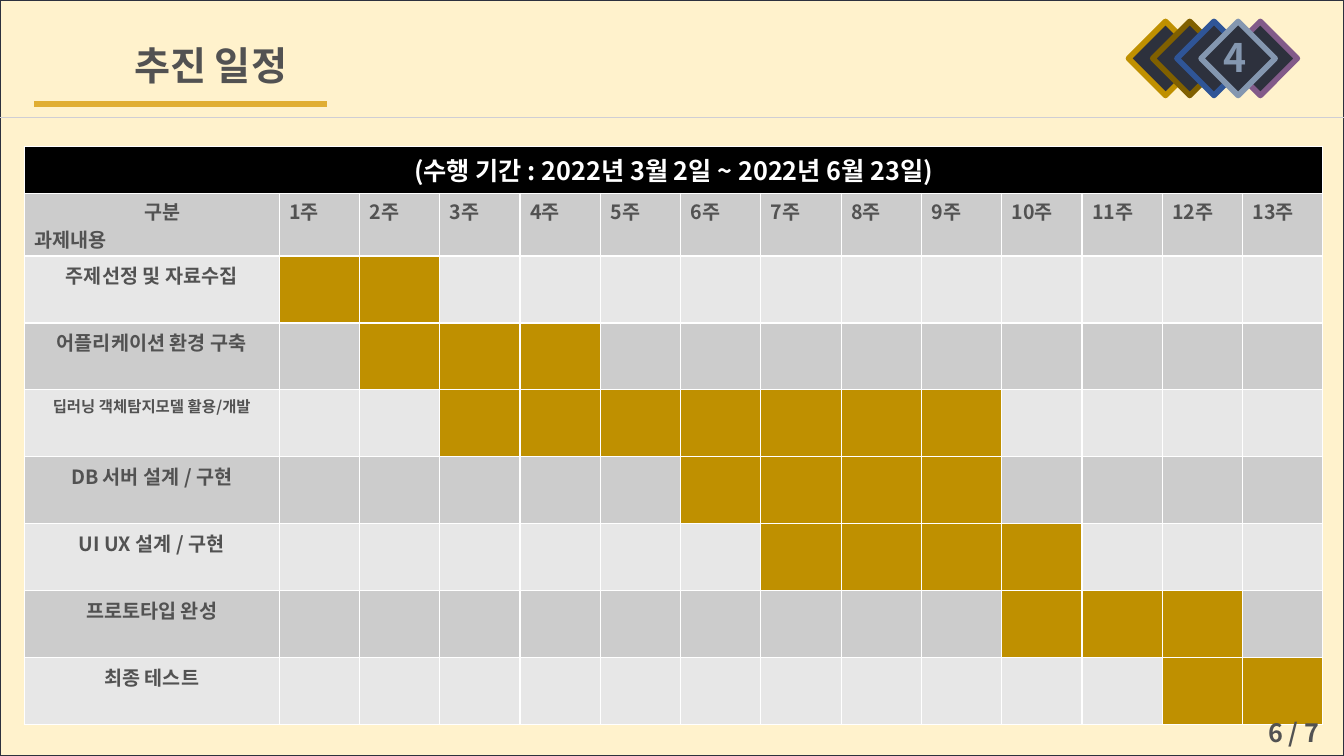
from dataclasses import dataclass
from typing import Any

from lxml.etree import SubElement as Sub
from pptx import Presentation
from pptx.dml.color import RGBColor as Rgb
from pptx.enum.shapes import MSO_CONNECTOR as Link, MSO_SHAPE as Form
from pptx.enum.text import MSO_ANCHOR as Anchor, MSO_AUTO_SIZE as Fit, PP_ALIGN as Align
from pptx.oxml.ns import qn
from pptx.util import Inches, Pt

FONT = "Noto Sans CJK KR"
HUES = {
    "page": "FFF2CC", "dark": "2D313D", "text": "525252", "white": "FFFFFF", "black": "000000",
    "odd": "CCCCCC", "even": "E7E7E7", "bar": "BF9000", "rule": "CFCED4", "gold": "E0AE33",
    "plum": "825A89", "brown": "806000", "blue": "2F5597", "steel": "8497B0",
}
WEEKS = 13
LEFT, TOP, WIDTH, HEIGHT = 0.24, 1.45, 12.88, 5.74
TASK_W, HEAD_H, WEEK_H = 2.53, 0.47, 0.62


@dataclass
class Task:
    """A row of the schedule with its first and last week."""
    name: str
    first: int
    last: int
    size: int = 14


@dataclass
class Box:
    """A filled and outlined shape."""
    left: float
    top: float
    width: float
    height: float
    fill: str
    line: str
    weight: float
    turn: int = 0


@dataclass
class Rule:
    """A level line."""
    left: float
    right: float
    top: float
    hue: str
    weight: float


@dataclass
class Label:
    """A short line of text in its own frame."""
    left: float
    top: float
    width: float
    height: float
    text: str
    size: int
    hue: str


TASKS = [
    Task("주제선정 및 자료수집", 1, 2),
    Task("어플리케이션 환경 구축", 2, 4),
    Task("딥러닝 객체탐지모델 활용/개발", 3, 9, 11),
    Task("DB 서버 설계 / 구현", 6, 9),
    Task("UI UX 설계 / 구현", 7, 10),
    Task("프로토타입 완성", 10, 12),
    Task("최종 테스트", 12, 13),
]
RULES = [Rule(0, 13.33, 1.16, "rule", 0.5), Rule(0.34, 3.24, 1.03, "gold", 4)]
GEMS = [(12.24, "plum")] + [
    (11.3 + 0.24 * i, hue) for i, hue in enumerate(["bar", "brown", "blue", "steel"])]
TITLE = Label(1.23, 0.36, 2.24, 0.57, "추진 일정", 28, "text")
LABELS = [
    Label(12.04, 0.28, 0.52, 0.57, "4", 28, "steel"),
    Label(12.48, 7.07, 0.99, 0.4, "6 / 7", 18, "text"),
]


def apply(item: Any, values: dict[str, Any]) -> None:
    """Set each named attribute of an item."""
    for name, value in values.items():
        setattr(item, name, value)


def paint(fill: Any, hue: str) -> None:
    """Make a fill solid in a named colour."""
    fill.solid()
    fill.fore_color.rgb = Rgb.from_string(HUES[hue])


def write(para: Any, text: str, size: int, hue: str, align: Align = Align.LEFT) -> None:
    """Put one formatted run in a paragraph."""
    para.alignment = align
    run = para.add_run()
    run.text = text
    apply(run.font, {"name": FONT, "size": Pt(size), "bold": True})
    paint(run.font.fill, hue)
    Sub(run.font.latin if hasattr(run.font, "latin") else run.font._element, qn("a:ea")).set("typeface", FONT)


def draw_box(shapes: Any, box: Box) -> None:
    """Draw a rectangle."""
    spot = map(Inches, (box.left, box.top, box.width, box.height))
    shape = shapes.add_shape(Form.RECTANGLE, *spot)
    shape.shadow.inherit = False
    shape.rotation = box.turn
    paint(shape.fill, box.fill)
    paint(shape.line.fill, box.line)
    shape.line.width = Pt(box.weight)


def draw_rule(shapes: Any, rule: Rule) -> None:
    """Draw a level line without a shadow."""
    spot = map(Inches, (rule.left, rule.top, rule.right, rule.top))
    line = shapes.add_connector(Link.STRAIGHT, *spot)
    paint(line.line.fill, rule.hue)
    line.line.width = Pt(rule.weight)
    Sub(line.element.spPr, qn("a:effectLst"))


def set_label(shape: Any, label: Label) -> None:
    """Place a text shape and write its label."""
    apply(shape, {key: Inches(getattr(label, key)) for key in ("left", "top", "width", "height")})
    frame = shape.text_frame
    apply(frame, {"word_wrap": True, "auto_size": Fit.SHAPE_TO_FIT_TEXT,
                  "vertical_anchor": Anchor.MIDDLE})
    write(frame.paragraphs[0], label.text, label.size, label.hue)


def draw_table(shapes: Any) -> None:
    """Draw the schedule by week."""
    spot = map(Inches, (LEFT, TOP, WIDTH, HEIGHT))
    table = shapes.add_table(len(TASKS) + 2, WEEKS + 1, *spot).table
    wide = (WIDTH - TASK_W) / WEEKS
    high = (HEIGHT - HEAD_H - WEEK_H) / len(TASKS)
    for col, width in zip(table.columns, [TASK_W] + [wide] * WEEKS):
        col.width = Inches(width)
    for row, height in zip(table.rows, [HEAD_H, WEEK_H] + [high] * len(TASKS)):
        row.height = Inches(height)

    head = table.cell(0, 0)
    head.merge(table.cell(0, WEEKS))
    paint(head.fill, "black")
    write(head.text_frame.paragraphs[0], "(수행 기간 : 2022년 3월 2일 ~ 2022년 6월 23일)",
          18, "white", Align.CENTER)

    for week in range(WEEKS + 1):
        cell = table.cell(1, week)
        apply(cell, {"margin_top": Inches(0.03), "margin_bottom": 0})
        paint(cell.fill, "odd")
        para = cell.text_frame.paragraphs[0]
        write(para, f"{week}주" if week else "구분", 14, "text")
        if not week:
            para._p.get_or_add_pPr().set("marL", str(Inches(1.09)))
            write(cell.text_frame.add_paragraph(), "과제내용", 14, "text")

    for row, task in enumerate(TASKS, 2):
        write(table.cell(row, 0).text_frame.paragraphs[0], task.name, task.size, "text", Align.CENTER)
        for week in range(WEEKS + 1):
            busy = task.first <= week <= task.last
            paint(table.cell(row, week).fill, "bar" if busy else "odd" if row % 2 else "even")


def main() -> None:
    """Build and save the schedule slide."""
    deck = Presentation()
    apply(deck, {"slide_width": Inches(13.33), "slide_height": Inches(7.5)})
    shapes = deck.slides.add_slide(deck.slide_layouts[5]).shapes
    draw_box(shapes, Box(0, 0, 13.33, 7.5, "page", "dark", 1))
    title = shapes.title
    title.element.getparent().append(title.element)
    set_label(title, TITLE)
    for rule in RULES:
        draw_rule(shapes, rule)
    draw_table(shapes)
    for left, hue in GEMS:
        draw_box(shapes, Box(left, 0.32, 0.52, 0.52, "dark", hue, 4, 45))
    for label in LABELS:
        set_label(shapes.add_textbox(0, 0, 0, 0), label)
    deck.save("out.pptx")


if __name__ == "__main__":
    main()
